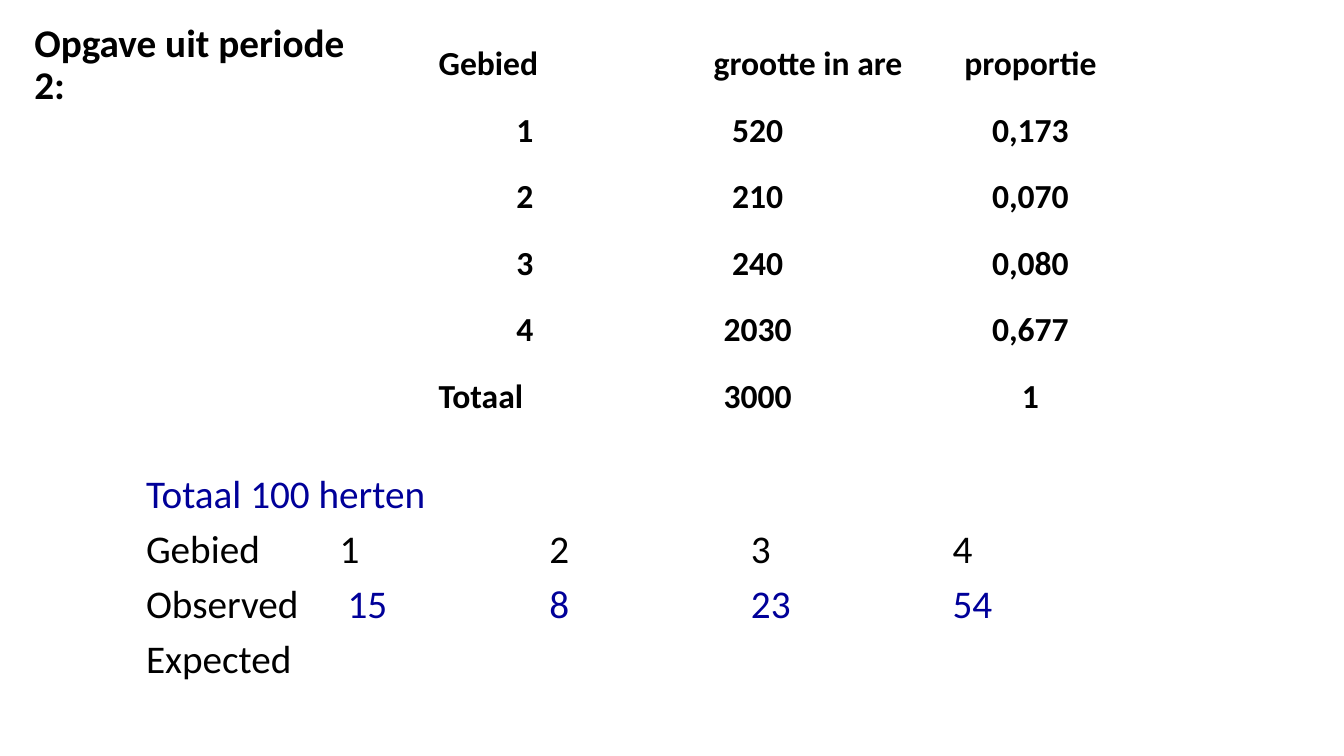
from dataclasses import dataclass

from lxml.etree import SubElement
from pptx import Presentation
from pptx.dml.color import RGBColor
from pptx.enum.text import MSO_ANCHOR as Anchor, MSO_AUTO_SIZE as AutoSize, PP_ALIGN as Align
from pptx.oxml.ns import qn
from pptx.util import Inches, Length, Pt


@dataclass(frozen=True)
class Theme:
    font: str = "Calibri"
    black: RGBColor = RGBColor(0x00, 0x00, 0x00)
    blue: RGBColor = RGBColor(0x00, 0x00, 0x99)
    body: Length = Pt(28)
    table: Length = Pt(24)
    gap: Length = Pt(5.6)


@dataclass(frozen=True)
class Line:
    label: str
    values: tuple[str, ...] = ()
    label_color: RGBColor = Theme.black
    value_color: RGBColor = Theme.black
    first_tab: float = 2.0


THEME = Theme()
AREAS = [
    ("Gebied", "grootte in are", "proportie"),
    ("1", "520", "0,173"),
    ("2", "210", "0,070"),
    ("3", "240", "0,080"),
    ("4", "2030", "0,677"),
    ("Totaal", "3000", "1"),
]
COL_WIDTHS = (1.73, 2.89, 2.52)
ROW_HEIGHT = 0.66
ALIGNMENTS = {"Gebied": Align.LEFT, "Totaal": Align.LEFT, "grootte in are": Align.RIGHT}
DEER = [
    Line("Totaal 100 herten", label_color=THEME.blue),
    Line("Gebied", ("1", "2", "3", "4"), first_tab=1.92),
    Line("Observed", ("15", "8", "23", "54"), value_color=THEME.blue),
    Line("Expected"),
]


def add_run(p, text: str, size: Length, color: RGBColor, bold: bool = False) -> None:
    r = p.add_run()
    r.text = text
    r.font.name = THEME.font
    r.font.size = size
    r.font.bold = bold
    r.font.color.rgb = color


def add_tabs(p, stops: list[float]) -> None:
    tabs = SubElement(p._p.get_or_add_pPr(), qn("a:tabLst"))
    for stop in stops:
        SubElement(tabs, qn("a:tab"), pos=str(Inches(stop)), algn="l")


def set_title(s, text: str) -> None:
    sp = s.shapes.title
    sp.left, sp.top, sp.width, sp.height = map(Inches, (0.24, 0.18, 3.65, 0.56))
    tf = sp.text_frame
    tf.word_wrap = True
    tf.auto_size = AutoSize.NONE
    tf.vertical_anchor = Anchor.TOP
    p = tf.paragraphs[0]
    p.alignment = Align.LEFT
    p.line_spacing = 0.9
    add_run(p, text, THEME.body, THEME.black, bold=True)


def add_area_table(s) -> None:
    frame = s.shapes.add_table(
        len(AREAS), len(COL_WIDTHS), Inches(4.34), Inches(0.18),
        Inches(sum(COL_WIDTHS)), Inches(ROW_HEIGHT * len(AREAS)))
    table = frame.table
    table.first_row = table.horz_banding = False
    for column, width in zip(table.columns, COL_WIDTHS):
        column.width = Inches(width)
    for i, row in enumerate(AREAS):
        table.rows[i].height = Inches(ROW_HEIGHT)
        for j, text in enumerate(row):
            cell = table.cell(i, j)
            cell.fill.background()
            cell.vertical_anchor = Anchor.BOTTOM
            cell.margin_left = cell.margin_right = cell.margin_top = Inches(0.01)
            cell.margin_bottom = Inches(0)
            p = cell.text_frame.paragraphs[0]
            p.alignment = ALIGNMENTS.get(text, Align.CENTER)
            add_run(p, text, THEME.table, THEME.black, bold=True)


def add_deer_counts(s) -> None:
    sp = s.shapes.add_textbox(Inches(1.35), Inches(4.61), Inches(8.82), Inches(2.89))
    tf = sp.text_frame
    tf.word_wrap = True
    for i, line in enumerate(DEER):
        p = tf.add_paragraph() if i else tf.paragraphs[0]
        p.space_before = THEME.gap
        add_run(p, line.label, THEME.body, line.label_color)
        if line.values:
            add_tabs(p, [line.first_tab, 4, 6, 8])
        for value in line.values:
            add_run(p, "\t" + value, THEME.body, line.value_color)


prs = Presentation()
prs.slide_width, prs.slide_height = Inches(13.33), Inches(7.5)
s = prs.slides.add_slide(prs.slide_layouts[5])
add_area_table(s)
add_deer_counts(s)
set_title(s, "Opgave uit periode 2:")
prs.save("out.pptx")
